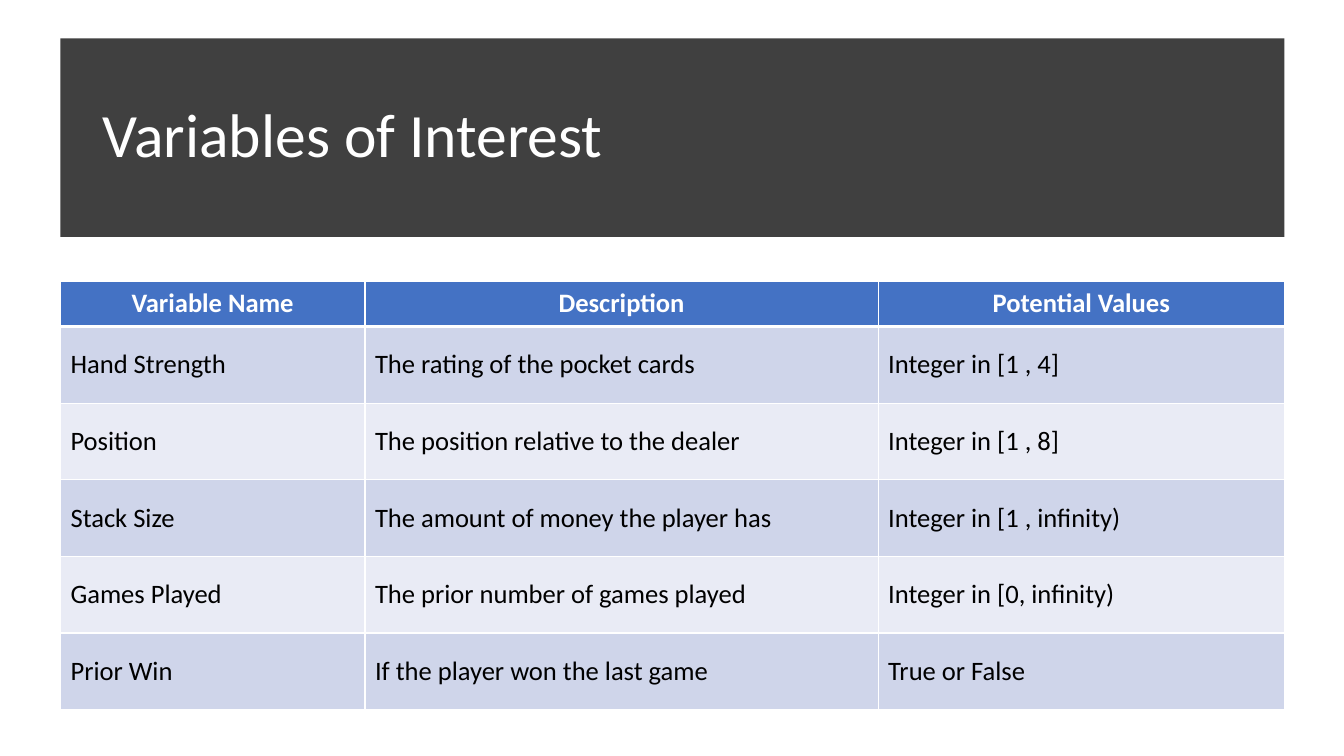
from lxml.etree import SubElement
from pptx import Presentation
from pptx.dml.color import RGBColor
from pptx.enum.shapes import MSO_SHAPE
from pptx.enum.text import MSO_ANCHOR, MSO_AUTO_SIZE, PP_ALIGN
from pptx.oxml.ns import qn
from pptx.util import Inches, Pt

ROWS = [
    ("Variable Name", "Description", "Potential Values"),
    ("Hand Strength", "The rating of the pocket cards", "Integer in [1 , 4]"),
    ("Position", "The position relative to the dealer", "Integer in [1 , 8]"),
    ("Stack Size", "The amount of money the player has", "Integer in [1 , infinity)"),
    ("Games Played", "The prior number of games played", "Integer in [0, infinity)"),
    ("Prior Win", "If the player won the last game", "True or False"),
]
WIDTHS = (3.02, 5.09, 4.03)
HEAD, BODY = 0.45, 0.76


def paint(fill, tone):
    fill.solid()
    fill.fore_color.rgb = RGBColor.from_string(tone)


def apply(item, style):
    for name, value in style.items():
        setattr(item, name, value)


class Deck:
    font = "Calibri"
    white = "FFFFFF"
    black = "000000"
    dark = "404040"
    blue = "4472C4"
    bands = ("E9EBF5", "CFD5EA")

    def __init__(self):
        self.show = Presentation()
        apply(self.show, {"slide_width": Inches(13.33), "slide_height": Inches(7.5)})
        self.slide = self.show.slides.add_slide(self.show.slide_layouts[5])

    def label(self, frame, text, size, tone, bold=False, align=PP_ALIGN.LEFT):
        frame.text = text
        para = frame.paragraphs[0]
        para.alignment = align
        font = para.runs[0].font
        apply(font, {"name": self.font, "size": Pt(size), "bold": bold})
        paint(font.fill, tone)
        return para

    def band(self, *box):
        shape = self.slide.shapes.add_shape(MSO_SHAPE.RECTANGLE, *map(Inches, box))
        shape.shadow.inherit = False
        paint(shape.fill, self.dark)
        shape.line.fill.background()
        self.slide.shapes.title.element.addprevious(shape.element)

    def title(self, text, *box):
        shape = self.slide.shapes.title
        apply(shape, dict(zip(("left", "top", "width", "height"), map(Inches, box))))
        apply(shape.text_frame, {
            "vertical_anchor": MSO_ANCHOR.MIDDLE,
            "auto_size": MSO_AUTO_SIZE.NONE,
            "word_wrap": True,
        })
        self.label(shape.text_frame, text, 44, self.white).line_spacing = 0.9

    def edge(self, cell, side, width):
        props = cell._tc.get_or_add_tcPr()
        line = SubElement(props, qn(f"a:ln{side}"), w=str(Pt(width)))
        fill = SubElement(line, qn("a:solidFill"))
        SubElement(fill, qn("a:srgbClr"), val=self.white)

    def cell(self, cell, text, row):
        head = row == 0
        apply(cell, {
            "vertical_anchor": MSO_ANCHOR.MIDDLE,
            "margin_left": Inches(0.1),
            "margin_right": Inches(0.1),
            "margin_top": Inches(0.05),
            "margin_bottom": Inches(0.05),
        })
        for side, thick in (("L", False), ("R", False), ("T", row == 1), ("B", head)):
            self.edge(cell, side, 3 if thick else 1)
        paint(cell.fill, self.blue if head else self.bands[row % 2])
        self.label(cell.text_frame, text, 19, self.white if head else self.black,
                   head, PP_ALIGN.CENTER if head else PP_ALIGN.LEFT)

    def table(self, rows, left, top):
        high = HEAD + BODY * (len(rows) - 1)
        box = map(Inches, (left, top, sum(WIDTHS), high))
        table = self.slide.shapes.add_table(len(rows), len(WIDTHS), *box).table
        for col, width in zip(table.columns, WIDTHS):
            col.width = Inches(width)
        for row, texts in enumerate(rows):
            table.rows[row].height = Inches(BODY if row else HEAD)
            for col, text in enumerate(texts):
                self.cell(table.cell(row, col), text, row)


def main():
    deck = Deck()
    deck.band(0.6, 0.38, 12.14, 1.97)
    deck.title("Variables of Interest", 0.92, 0.64, 11.5, 1.45)
    deck.table(ROWS, 0.6, 2.79)
    deck.show.save("out.pptx")


if __name__ == "__main__":
    main()
